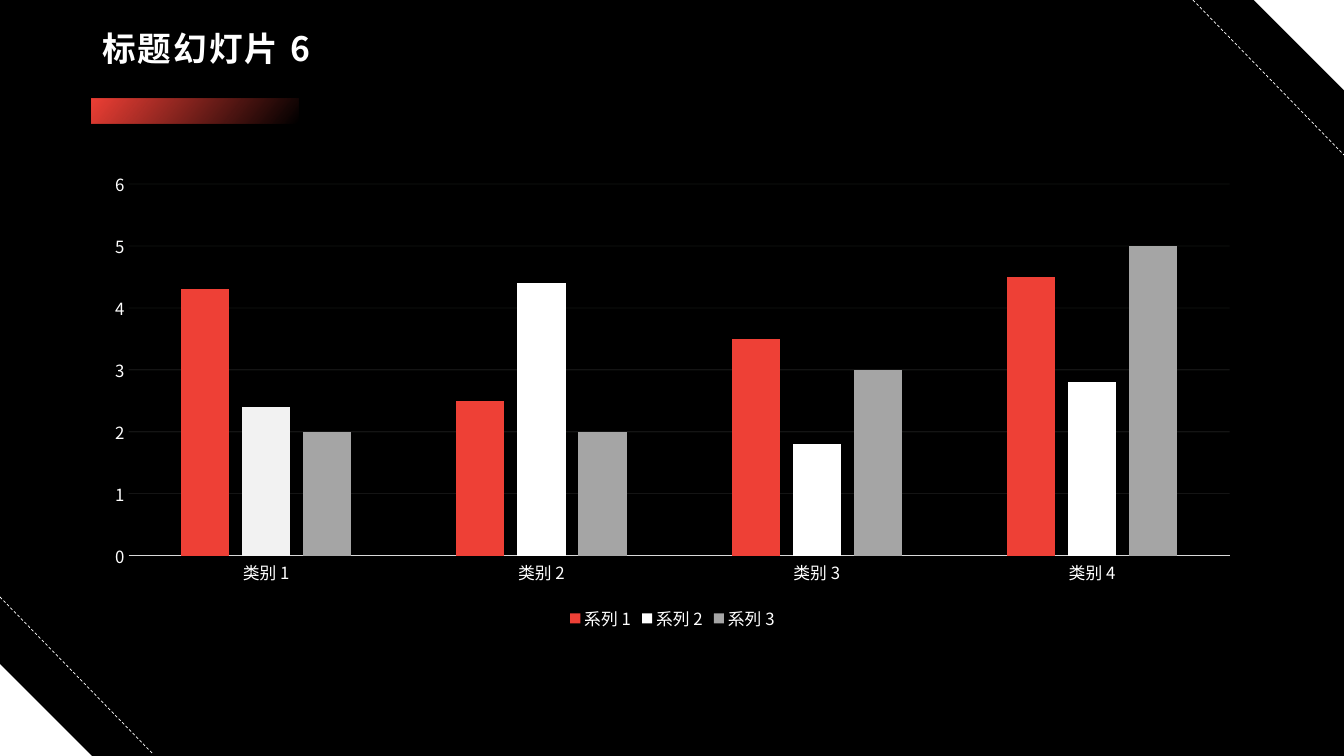
from lxml import etree
from pptx import Presentation
from pptx.chart.data import CategoryChartData
from pptx.dml.color import RGBColor
from pptx.enum.chart import XL_CHART_TYPE, XL_LEGEND_POSITION, XL_TICK_MARK
from pptx.enum.dml import MSO_LINE
from pptx.enum.shapes import MSO_CONNECTOR, MSO_SHAPE
from pptx.enum.text import MSO_ANCHOR, PP_ALIGN
from pptx.oxml.ns import qn
from pptx.util import Pt

COLUMN = XL_CHART_TYPE.COLUMN_CLUSTERED
BOTTOM = XL_LEGEND_POSITION.BOTTOM
NO_TICK = XL_TICK_MARK.NONE
DASH, SOLID = MSO_LINE.DASH, MSO_LINE.SOLID
STRAIGHT = MSO_CONNECTOR.STRAIGHT
CORNER, RECT = MSO_SHAPE.RIGHT_TRIANGLE, MSO_SHAPE.RECTANGLE
MIDDLE, LEFT = MSO_ANCHOR.MIDDLE, PP_ALIGN.LEFT

RED, WHITE, GRAY = "EE4036", "FFFFFF", "A5A5A5"


def px(n):
    return round(n * 914400 / 100.8)


def color(code):
    return RGBColor.from_string(code)


def fade(node, part):
    etree.SubElement(node, qn("a:alpha"), val=str(part * 1000))


def asian(node, face):
    font = etree.Element(qn("a:ea"), typeface=face)
    node.find(qn("a:latin")).addnext(font)


class Deck:
    head = "Noto Sans CJK SC"
    body = "Noto Sans CJK JP"

    def __init__(self, wide, high):
        self.file = Presentation()
        self.file.slide_width, self.file.slide_height = px(wide), px(high)
        self.slide = self.file.slides.add_slide(self.file.slide_layouts[5])
        self.shapes = self.slide.shapes
        back = self.slide.background.fill
        back.solid()
        back.fore_color.rgb = color("000000")

    def font(self, font, face, size, bold=False):
        font.name, font.size, font.bold = face, Pt(size), bold
        font.color.rgb = color(WHITE)

    def title(self, text, *box):
        title = self.shapes.title
        title.left, title.top, title.width, title.height = map(px, box)
        frame = title.text_frame
        frame.text = text
        frame.vertical_anchor = MIDDLE
        para = frame.paragraphs[0]
        para.alignment, para.line_spacing = LEFT, 0.9
        self.font(para.font, self.head, 24, True)
        props = para._p.pPr.find(qn("a:defRPr"))
        props.set("spc", "150")
        asian(props, self.head)

    def shape(self, kind, *box, turn=0):
        shape = self.shapes.add_shape(kind, *map(px, box))
        shape.shadow.inherit = False
        shape.rotation = turn
        shape.line.fill.background()
        shape.fill.solid()
        shape.fill.fore_color.rgb = color(WHITE)
        return shape

    def bar(self, *box):
        fill = self.shape(RECT, *box).fill
        fill.gradient()
        fill.gradient_angle = 320
        for stop, place in zip(fill.gradient_stops, (0, 0.99)):
            stop.color.rgb = color(RED)
            stop.position = place
        fade(list(fill._xPr.iter(qn("a:srgbClr")))[-1], 0)

    def line(self, *ends):
        line = self.shapes.add_connector(STRAIGHT, *map(px, ends))
        line.line.color.rgb = color(WHITE)
        line.line.width = Pt(0.5)
        line.line.dash_style = DASH
        etree.SubElement(line._element.spPr, qn("a:effectLst"))

    def chart(self, cats, rows, *box):
        data = CategoryChartData()
        data.categories = cats
        for name, _, vals in rows:
            data.add_series(name, vals)
        chart = self.shapes.add_chart(COLUMN, *map(px, box), data).chart
        chart.has_title = False
        self.font(chart.font, self.body, 10)
        chart.has_legend = True
        chart.legend.position = BOTTOM
        chart.legend.include_in_layout = False
        plot = chart.plots[0]
        plot.gap_width, plot.overlap, plot.vary_by_categories = 219, -27, False
        for bars, (_, tint, _) in zip(plot.series, rows):
            bars.format.fill.solid()
            bars.format.fill.fore_color.rgb = color(tint)
        base, scale = chart.category_axis, chart.value_axis
        for part in (base.tick_labels, scale.tick_labels, chart.legend):
            self.font(part.font, self.body, 12)
        for axis in (base, scale):
            axis.major_tick_mark = axis.minor_tick_mark = NO_TICK
        base.format.line.color.rgb = color("D9D9D9")
        base.format.line.width = Pt(0.75)
        scale.format.line.fill.background()
        scale.minimum_scale, scale.maximum_scale, scale.major_unit = 0, 6, 1
        scale.has_major_gridlines = True
        grid = scale.major_gridlines.format.line
        grid.color.rgb = color("E7E8E7")
        grid.width, grid.dash_style = Pt(0.25), SOLID
        lines = scale._element.find(qn("c:majorGridlines"))
        fade(next(lines.iter(qn("a:srgbClr"))), 25)
        for props in chart._chartSpace.iter(qn("a:defRPr")):
            asian(props, self.body)
        return chart


def main():
    deck = Deck(1344, 756)
    deck.shape(CORNER, 0, 664, 92, 92)
    deck.shape(CORNER, 1253, -1, 92, 92, turn=180)
    deck.line(0, 597, 153, 754)
    deck.line(1193, 0, 1344, 155)
    deck.bar(92, 99, 206, 24)
    deck.title("标题幻灯片 6", 92, 18, 1160, 65)
    rows = [
        ("系列 1", RED, (4.3, 2.5, 3.5, 4.5)),
        ("系列 2", WHITE, (2.4, 4.4, 1.8, 2.8)),
        ("系列 3", GRAY, (2, 2, 3, 5)),
    ]
    cats = [f"类别 {n}" for n in range(1, 5)]
    chart = deck.chart(cats, rows, 92, 162, 1161, 473)
    pale = chart.plots[0].series[1].points[0].format.fill
    pale.solid()
    pale.fore_color.rgb = color("F2F2F2")
    deck.file.save("out.pptx")


if __name__ == "__main__":
    main()
